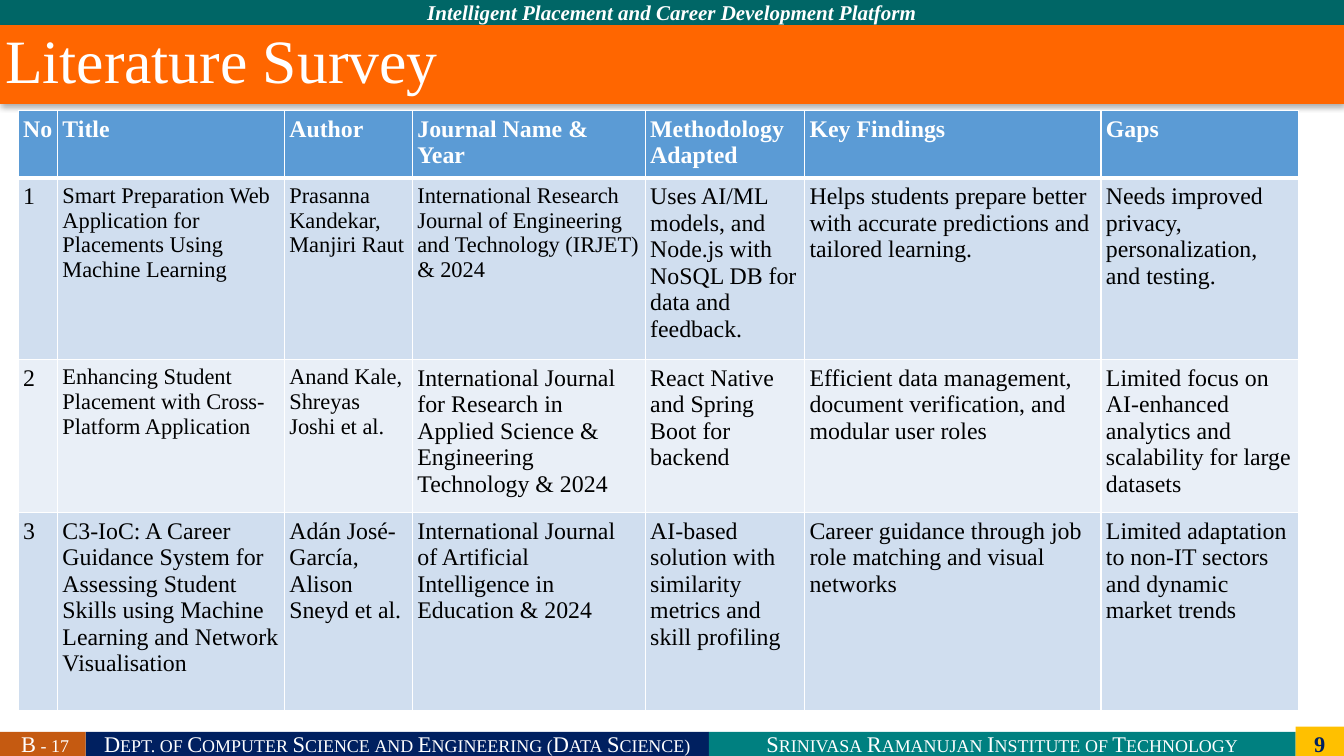
"""Build the literature survey slide with its banded table and footer bars."""
from dataclasses import dataclass

import lxml.etree
import pptx
import pptx.dml.color
import pptx.enum.shapes
import pptx.enum.text
import pptx.oxml
import pptx.oxml.ns
import pptx.presentation
import pptx.shapes.autoshape
import pptx.slide
import pptx.table
import pptx.text.text
import pptx.util

Inches = pptx.util.Inches
ALIGN = pptx.enum.text.PP_ALIGN
ANCHOR = pptx.enum.text.MSO_ANCHOR


@dataclass(frozen=True)
class Theme:
    """Colours, type sizes and the font of the slide."""
    font: str = "Times New Roman"
    white: str = "FFFFFF"
    black: str = "000000"
    navy: str = "002060"
    teal: str = "008080"
    dark_teal: str = "006666"
    rust: str = "C55A11"
    gold: str = "FFC000"
    orange: str = "FF6600"
    header: str = "5B9BD5"
    bands: tuple[str, str] = ("D0DEEF", "E9EFF7")
    title_size: int = 44
    table_size: int = 17
    compact_size: int = 16
    footer_size: int = 16
    banner_size: int = 15
    inset: float = 0.05


@dataclass(frozen=True)
class Style:
    """Look of one run of text."""
    size: int
    color: str
    bold: bool = False
    italic: bool = False
    small_caps: bool = False


@dataclass(frozen=True)
class Box:
    """Place of a shape in inches."""
    left: float
    top: float
    width: float
    height: float


@dataclass(frozen=True)
class Bar:
    """Coloured bar with a centred label."""
    label: str
    box: Box
    fill: str
    style: Style


@dataclass(frozen=True)
class Paper:
    """One surveyed paper and the columns set in compact type."""
    fields: tuple[str, ...]
    compact: tuple[int, ...] = ()


THEME = Theme()
FOOTER = Style(THEME.footer_size, THEME.white, small_caps=True)
BANNER = Style(THEME.banner_size, THEME.white, bold=True, italic=True)
FOOTER_TOP, FOOTER_HEIGHT = 7.26, 0.24
BARS = (
    Bar("Dept. of Computer Science and Engineering (Data Science)",
        Box(0.85, FOOTER_TOP, 6.18, FOOTER_HEIGHT), THEME.navy, FOOTER),
    Bar("Srinivasa Ramanujan Institute of Technology",
        Box(7.03, FOOTER_TOP, 5.82, FOOTER_HEIGHT), THEME.teal, FOOTER),
    Bar("Intelligent Placement and Career Development Platform",
        Box(0, 0, 13.33, 0.25), THEME.dark_teal, BANNER),
    Bar(" B - 17", Box(0, FOOTER_TOP, 0.85, FOOTER_HEIGHT), THEME.rust, FOOTER),
)
HEADINGS = ("No", "Title", "Author", "Journal Name & Year",
            "Methodology Adapted", "Key Findings", "Gaps")
PAPERS = (
    Paper(("Smart Preparation Web Application for Placements Using Machine Learning",
           "Prasanna Kandekar, Manjiri Raut",
           "International Research Journal of Engineering and Technology (IRJET) & 2024",
           "Uses AI/ML models, and Node.js with NoSQL DB for data and feedback.",
           "Helps students prepare better with accurate predictions and tailored learning.",
           "Needs improved privacy, personalization, and testing."), (1, 2, 3)),
    Paper(("Enhancing Student Placement with Cross-Platform Application",
           "Anand Kale, Shreyas Joshi et al.",
           "International Journal for Research in Applied Science & Engineering Technology & 2024",
           "React Native and Spring Boot for backend",
           "Efficient data management, document verification, and modular user roles",
           "Limited focus on AI-enhanced analytics and scalability for large datasets"), (1, 2)),
    Paper(("C3-IoC: A Career Guidance System for Assessing Student Skills using "
           "Machine Learning and Network Visualisation",
           "Adán José-García, Alison Sneyd et al.",
           "International Journal of Artificial Intelligence in Education & 2024",
           "AI-based solution with similarity metrics and skill profiling",
           "Career guidance through job role matching and visual networks",
           "Limited adaptation to non-IT sectors and dynamic market trends")),
)
COLUMN_WIDTHS = (0.39, 2.25, 1.27, 2.31, 1.58, 2.94, 1.96)
ROW_HEIGHTS = (0.63, 1.69, 1.43, 1.96)


def rgb(color: str) -> pptx.dml.color.RGBColor:
    """Turn a hex string into a colour."""
    return pptx.dml.color.RGBColor.from_string(color)


def write(frame: pptx.text.text.TextFrame, text: str, style: Style,
          align: ALIGN = ALIGN.LEFT, anchor: ANCHOR = ANCHOR.MIDDLE) -> None:
    """Write one styled run into a text frame."""
    frame.word_wrap = True
    frame.vertical_anchor = anchor
    frame.margin_left = frame.margin_right = Inches(THEME.inset)
    frame.margin_top = frame.margin_bottom = Inches(THEME.inset)
    frame.paragraphs[0].alignment = align
    add_run(frame.paragraphs[0], text, style)


def add_run(paragraph: pptx.text.text._Paragraph, text: str, style: Style) -> None:
    """Add a styled run to a paragraph."""
    run = paragraph.add_run()
    run.text = text
    run.font.name = THEME.font
    run.font.size = pptx.util.Pt(style.size)
    run.font.bold, run.font.italic = style.bold, style.italic
    run.font.color.rgb = rgb(style.color)
    if style.small_caps:
        run.font._element.set("cap", "small")


def place(box: Box) -> tuple[pptx.util.Length, ...]:
    """Convert a box to lengths."""
    return tuple(Inches(side) for side in (box.left, box.top, box.width, box.height))


def add_block(slide: pptx.slide.Slide, box: Box, fill: str) -> pptx.shapes.autoshape.Shape:
    """Add a plain filled rectangle."""
    block = slide.shapes.add_shape(pptx.enum.shapes.MSO_SHAPE.RECTANGLE, *place(box))
    block.shadow.inherit = False
    block.fill.solid()
    block.fill.fore_color.rgb = rgb(fill)
    block.line.fill.background()
    return block


def add_bar(slide: pptx.slide.Slide, bar: Bar) -> None:
    """Add a bar and the label that overlaps its edges."""
    add_block(slide, bar.box, bar.fill)
    gap = THEME.inset
    label_box = Box(bar.box.left + gap, bar.box.top - gap,
                    bar.box.width - 2 * gap, bar.box.height + 2 * gap)
    label = slide.shapes.add_textbox(*place(label_box))
    write(label.text_frame, bar.label, bar.style, ALIGN.CENTER)


def add_title(slide: pptx.slide.Slide) -> None:
    """Add the title band with its soft shadow."""
    title = add_block(slide, Box(0, 0.25, 13.33, 0.78), THEME.orange)
    write(title.text_frame, "Literature Survey", Style(THEME.title_size, THEME.white),
          ALIGN.JUSTIFY, ANCHOR.TOP)
    title.text_frame.paragraphs[0].line_spacing = 0.9
    effects = title._element.spPr.find(pptx.oxml.ns.qn("a:effectLst"))
    effects.append(pptx.oxml.parse_xml(
        f'<a:outerShdw {pptx.oxml.ns.nsdecls("a")} blurRad="50800" dist="27940" '
        f'dir="5400000" rotWithShape="0"><a:srgbClr val="{THEME.black}">'
        '<a:alpha val="32000"/></a:srgbClr></a:outerShdw>'))


def fill_cell(cell: pptx.table._Cell, text: str, style: Style, fill: str,
              top: int = 1, bottom: int = 1) -> None:
    """Write, colour and border one table cell."""
    write(cell.text_frame, text, style)
    cell.vertical_anchor = ANCHOR.TOP
    cell.margin_left = cell.margin_right = Inches(THEME.inset)
    cell.margin_top = cell.margin_bottom = Inches(THEME.inset)
    properties = cell._tc.get_or_add_tcPr()
    for side, points in (("L", 1), ("R", 1), ("T", top), ("B", bottom)):
        edge = lxml.etree.SubElement(properties, pptx.oxml.ns.qn(f"a:ln{side}"),
                                     w=str(pptx.util.Pt(points)))
        paint = lxml.etree.SubElement(edge, pptx.oxml.ns.qn("a:solidFill"))
        lxml.etree.SubElement(paint, pptx.oxml.ns.qn("a:srgbClr"), val=THEME.white)
    cell.fill.solid()
    cell.fill.fore_color.rgb = rgb(fill)


def add_survey(slide: pptx.slide.Slide) -> None:
    """Add the table of surveyed papers."""
    box = Box(0.18, 1.1, sum(COLUMN_WIDTHS), sum(ROW_HEIGHTS))
    survey = slide.shapes.add_table(len(ROW_HEIGHTS), len(HEADINGS), *place(box)).table
    for column, width in zip(survey.columns, COLUMN_WIDTHS):
        column.width = Inches(width)
    for row, height in zip(survey.rows, ROW_HEIGHTS):
        row.height = Inches(height)
    for column, heading in enumerate(HEADINGS):
        fill_cell(survey.cell(0, column), heading,
                  Style(THEME.table_size, THEME.white, bold=True), THEME.header, bottom=3)
    for number, paper in enumerate(PAPERS, 1):
        for column, text in enumerate((str(number), *paper.fields)):
            size = THEME.compact_size if column in paper.compact else THEME.table_size
            fill_cell(survey.cell(number, column), text, Style(size, THEME.black),
                      THEME.bands[(number - 1) % 2], top=3 if number == 1 else 1)


def main() -> None:
    """Build and save the presentation."""
    deck = pptx.Presentation()
    deck.slide_width, deck.slide_height = Inches(13.33), Inches(7.5)
    slide = deck.slides.add_slide(deck.slide_layouts[6])
    for bar in BARS:
        add_bar(slide, bar)
    page = add_block(slide, Box(12.85, 7.21, 0.48, 0.34), THEME.gold)
    write(page.text_frame, "9", Style(THEME.footer_size, THEME.navy, bold=True), ALIGN.CENTER)
    add_title(slide)
    add_survey(slide)
    deck.save("out.pptx")


if __name__ == "__main__":
    main()
